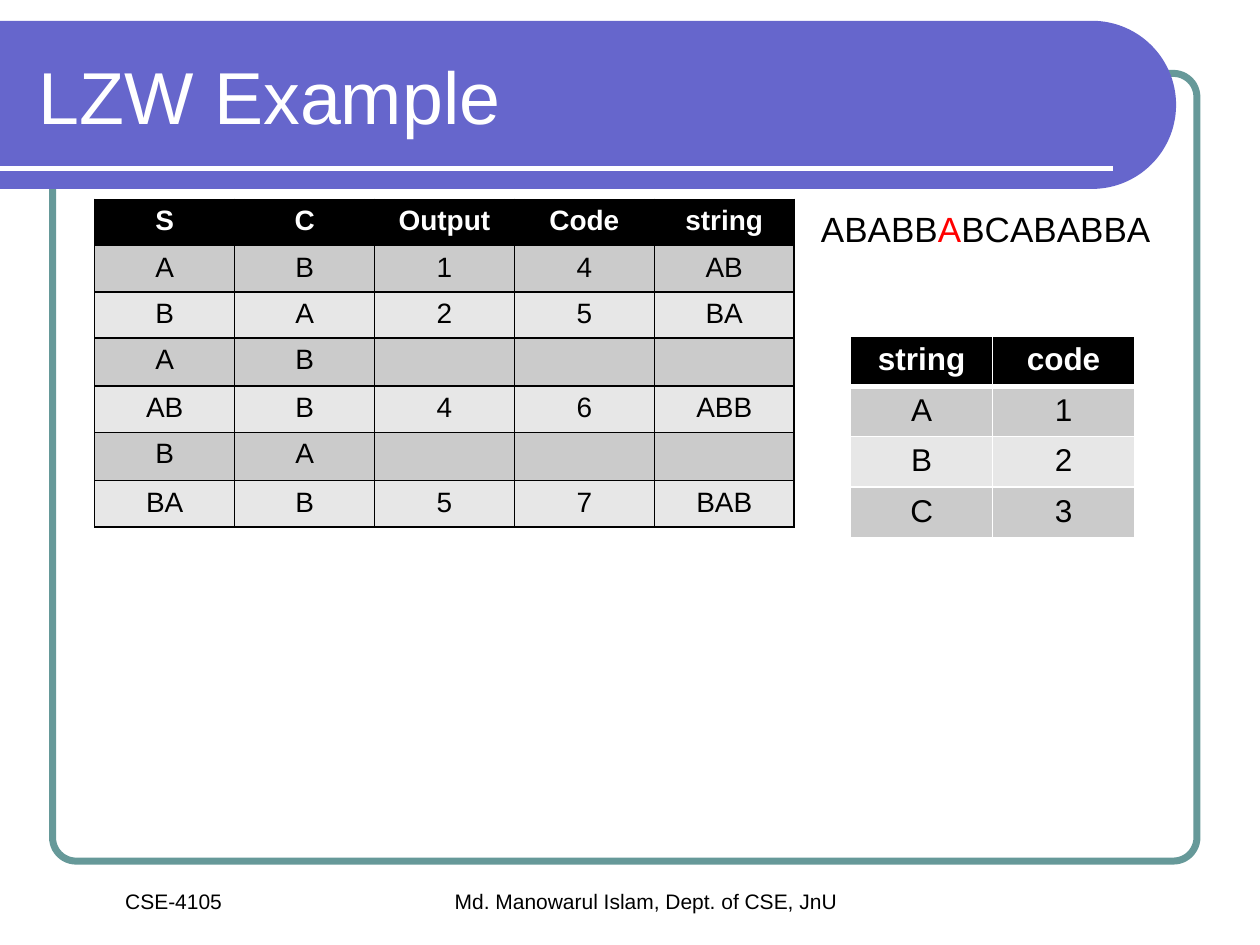
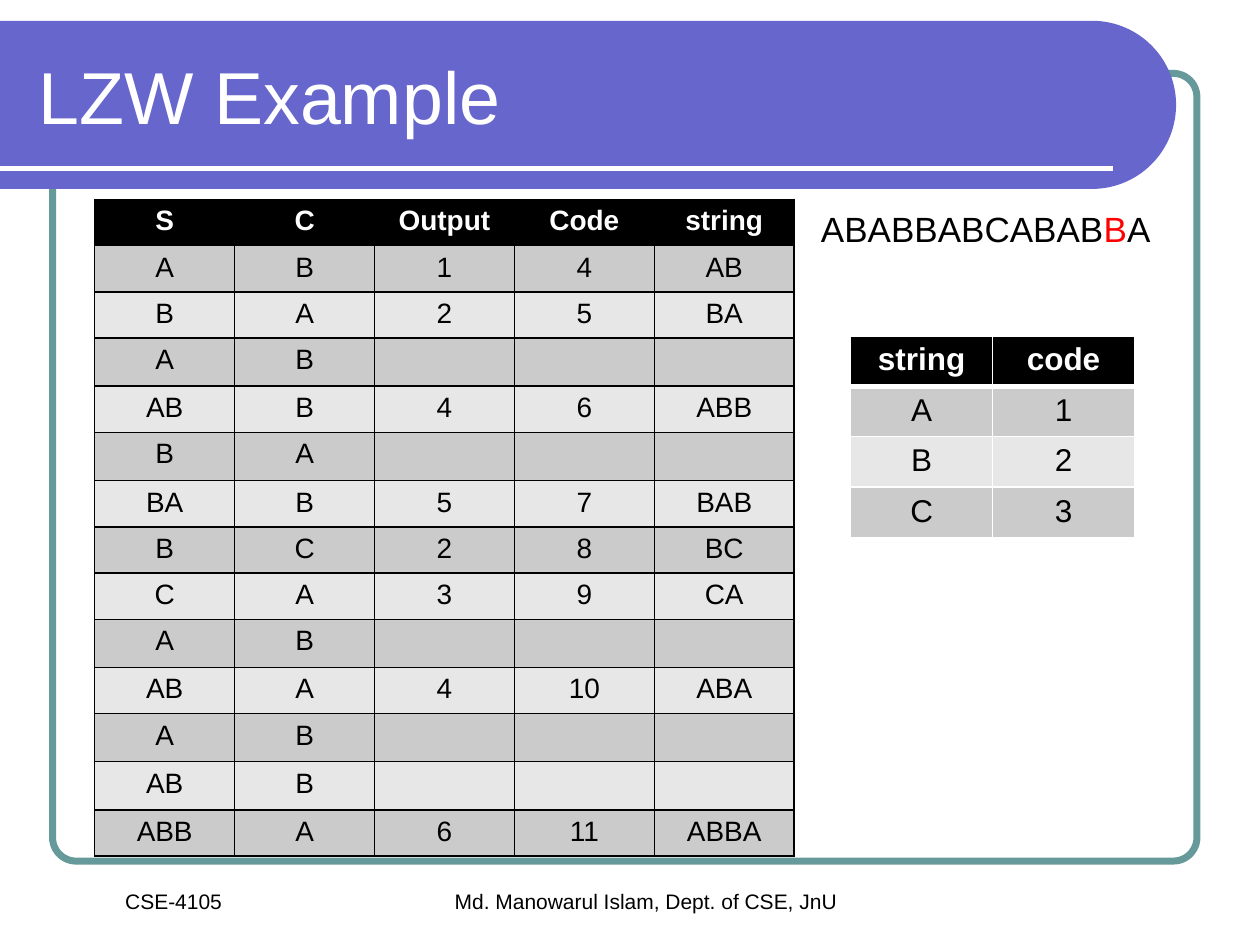
from math import cos, pi, sin

from lxml.etree import SubElement
from pptx import Presentation
from pptx.dml.color import RGBColor
from pptx.enum.shapes import MSO_CONNECTOR, MSO_SHAPE
from pptx.enum.text import MSO_ANCHOR, PP_ALIGN
from pptx.oxml import parse_xml
from pptx.oxml.ns import nsdecls, qn
from pptx.util import Cm, Pt

FONT = "Arial"
BLACK, WHITE, RED = "000000", "FFFFFF", "FF0000"
BAND, FRAME = "6666CC", "669999"
STRIPES = ("CBCBCB", "E7E7E7")

TITLE = "LZW Example"
FOOTERS = (
    ("Md. Manowarul Islam, Dept. of CSE, JnU", (4.45, 17.78, 17.15, 1.55)),
    ("CSE-4105", (0.64, 17.78, 5.72, 0.76)),
)
MESSAGE = "ABABBABCABABBA"
DICTIONARY = (("string", "code"), ("A", "1"), ("B", "2"), ("C", "3"))
STEPS = (
    ("S", "C", "Output", "Code", "string"),
    ("A", "B", "1", "4", "AB"),
    ("B", "A", "2", "5", "BA"),
    ("A", "B", "", "", ""),
    ("AB", "B", "4", "6", "ABB"),
    ("B", "A", "", "", ""),
    ("BA", "B", "5", "7", "BAB"),
    ("B", "C", "2", "8", "BC"),
    ("C", "A", "3", "9", "CA"),
    ("A", "B", "", "", ""),
    ("AB", "A", "4", "10", "ABA"),
    ("A", "B", "", "", ""),
    ("AB", "B", "", "", ""),
    ("ABB", "A", "6", "11", "ABBA"),
)


def color(value):
    """Turn a hex string into a colour."""
    return RGBColor.from_string(value)


def lengths(box):
    """Convert a box in centimetres to lengths."""
    return [Cm(value) for value in box]


def style(paragraph, size, value=BLACK, bold=False, align=PP_ALIGN.CENTER):
    """Set the font and alignment of a paragraph."""
    paragraph.alignment = align
    font = paragraph.font
    font.name, font.size, font.bold = FONT, Pt(size), bold
    font.color.rgb = color(value)


def add_frame(slide, box):
    """Draw the rounded outline around the content."""
    frame = slide.shapes.add_shape(MSO_SHAPE.ROUNDED_RECTANGLE, *lengths(box))
    frame.adjustments[0] = 0.03
    frame.shadow.inherit = False
    frame.fill.background()
    frame.line.color.rgb = color(FRAME)
    frame.line.width = Pt(4)


def add_band(slide, box):
    """Draw the title band with its round right end and white rule."""
    left, top, width, height = box
    radius = height / 2
    center_x, center_y = left + width - radius, top + radius
    angles = [pi * step / 60 - pi / 2 for step in range(61)]
    arc = [(Cm(center_x + radius * cos(angle)), Cm(center_y + radius * sin(angle)))
           for angle in angles]
    builder = slide.shapes.build_freeform(Cm(left), Cm(top))
    builder.add_line_segments(arc + [(Cm(left), Cm(top + height))])
    band = builder.convert_to_shape()
    band.shadow.inherit = False
    band.fill.solid()
    band.fill.fore_color.rgb = color(BAND)
    band.line.fill.background()

    rule_y = Cm(top + height - 0.42)
    rule = slide.shapes.add_connector(
        MSO_CONNECTOR.STRAIGHT, Cm(left), rule_y, Cm(left + width - 1.27), rule_y)
    rule.line.color.rgb = color(WHITE)
    rule.line.width = Pt(3)
    SubElement(rule.element.spPr, qn("a:effectLst"))


def add_title(slide, box):
    """Fill the title placeholder and bring it in front of the band."""
    title = slide.shapes.title
    title.left, title.top, title.width, title.height = lengths(box)
    title.text_frame.text = TITLE
    title.text_frame.vertical_anchor = MSO_ANCHOR.MIDDLE
    style(title.text_frame.paragraphs[0], 42, WHITE, align=PP_ALIGN.LEFT)
    slide.shapes.element.append(title.element)


def add_text_box(slide, box):
    """Add a wrapping text box and return its first paragraph."""
    text_frame = slide.shapes.add_textbox(*lengths(box)).text_frame
    text_frame.word_wrap = True
    return text_frame.paragraphs[0]


def add_footer(slide, text, box):
    """Add one centred footer text."""
    paragraph = add_text_box(slide, box)
    paragraph.text = text
    style(paragraph, 12)


def add_message(slide, box, current):
    """Write the message with the current letter in red."""
    paragraph = add_text_box(slide, box)
    properties = paragraph._p.get_or_add_pPr()
    properties.set("marL", str(Cm(0.97)))
    properties.set("indent", str(-Cm(0.97)))
    paragraph.line_spacing = 0.8
    style(paragraph, 20, align=PP_ALIGN.LEFT)
    parts = (MESSAGE[:current], MESSAGE[current], MESSAGE[current + 1:])
    for text, value in zip(parts, (BLACK, RED, BLACK)):
        run = paragraph.add_run()
        run.text = text
        run.font.color.rgb = color(value)


def set_borders(cell, value, widths):
    """Draw the left, right, top and bottom borders of a cell."""
    properties = cell._tc.get_or_add_tcPr()
    for index, (side, width) in enumerate(zip("LRTB", widths)):
        properties.insert(index, parse_xml(
            f'<a:ln{side} {nsdecls("a")} w="{Pt(width)}"><a:solidFill>'
            f'<a:srgbClr val="{value}"/></a:solidFill></a:ln{side}>'))


def add_grid(slide, rows, corner, column_width, row_heights, size, border, header_rule):
    """Add a striped table with a black header row."""
    column_count = len(rows[0])
    box = (*corner, column_width * column_count, sum(row_heights))
    table = slide.shapes.add_table(len(rows), column_count, *lengths(box)).table
    table.horz_banding = False
    for column in table.columns:
        column.width = Cm(column_width)
    for row_index, texts in enumerate(rows):
        is_header = row_index == 0
        table.rows[row_index].height = Cm(row_heights[row_index])
        fill = BLACK if is_header else STRIPES[(row_index - 1) % 2]
        top = header_rule if row_index == 1 else 1
        bottom = header_rule if is_header else 1
        for column_index, text in enumerate(texts):
            cell = table.cell(row_index, column_index)
            cell.text = text
            style(cell.text_frame.paragraphs[0], size,
                  WHITE if is_header else BLACK, is_header)
            cell.fill.solid()
            cell.fill.fore_color.rgb = color(fill)
            set_borders(cell, border, (1, 1, top, bottom))


def add_example_slide(presentation, step_count, current):
    """Add a slide showing the first coding steps and the current letter."""
    slide = presentation.slides.add_slide(presentation.slide_layouts[5])
    add_frame(slide, (1.06, 1.48, 23.07, 15.88))
    add_band(slide, (0, 0.42, 23.71, 3.39))
    for text, box in FOOTERS:
        add_footer(slide, text, box)
    add_title(slide, (0.53, 0.64, 22.28, 2.54))
    add_message(slide, (16.3, 4.23, 9.1, 1.27), current)
    steps = STEPS[:step_count + 1]
    step_heights = [0.93 if all(row) else 0.97 for row in steps]
    add_grid(slide, steps, (1.91, 4.02), 2.82, step_heights, 16, BLACK, 1)
    dictionary_heights = [1.01] * len(DICTIONARY)
    add_grid(slide, DICTIONARY, (17.15, 6.77), 2.86, dictionary_heights, 18, WHITE, 3)


def main():
    """Build and save the presentation."""
    presentation = Presentation()
    presentation.slide_width, presentation.slide_height = Cm(25.4), Cm(19.05)
    for step_count, current in ((6, 5), (13, 12)):
        add_example_slide(presentation, step_count, current)
    presentation.save("out.pptx")


if __name__ == "__main__":
    main()
